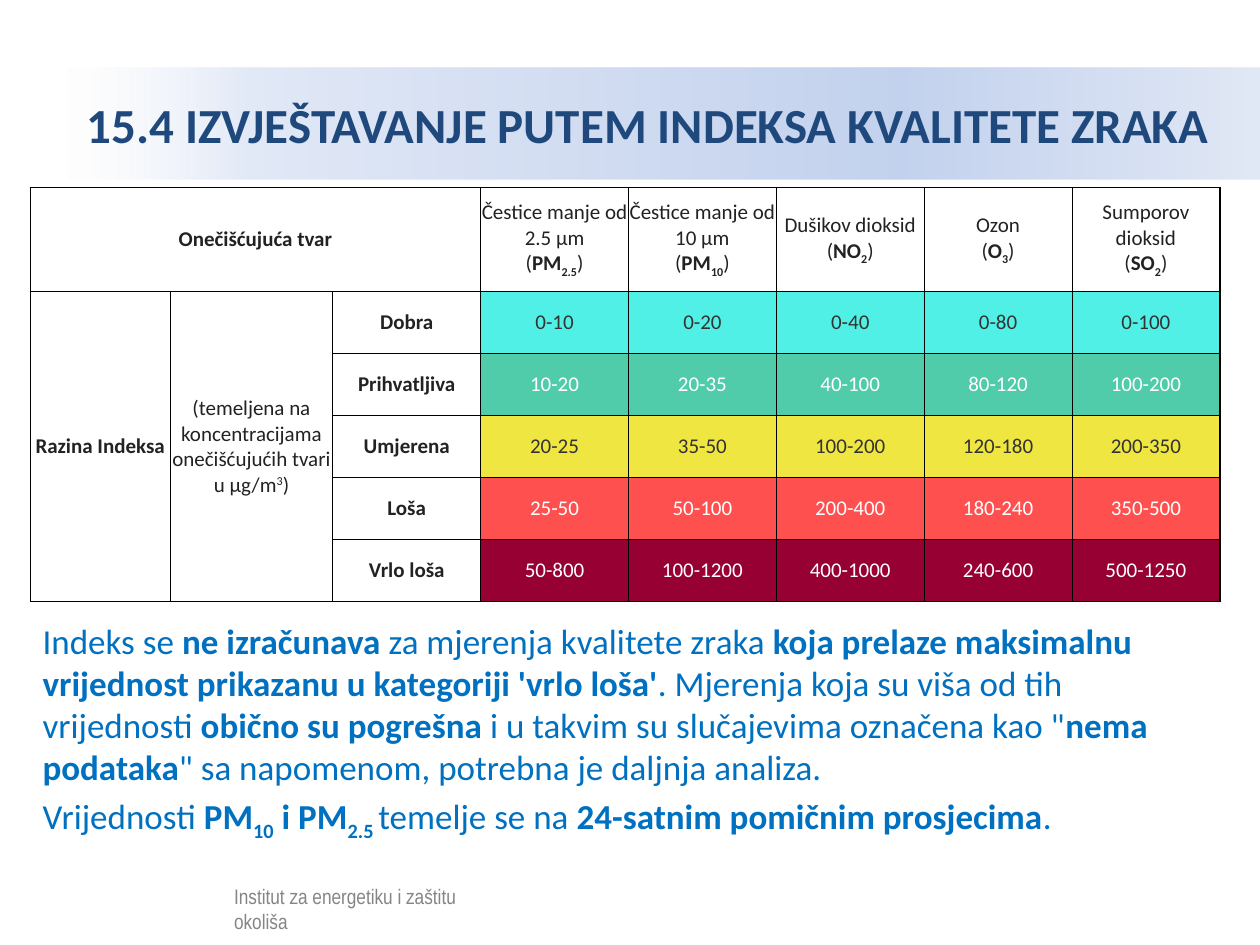
from dataclasses import dataclass

from lxml import etree
from pptx import Presentation
from pptx.dml.color import RGBColor
from pptx.enum.shapes import MSO_SHAPE
from pptx.enum.text import MSO_ANCHOR, MSO_AUTO_SIZE, PP_ALIGN
from pptx.oxml.ns import qn
from pptx.util import Cm, Pt

RECTANGLE = MSO_SHAPE.RECTANGLE
MIDDLE, TOP = MSO_ANCHOR.MIDDLE, MSO_ANCHOR.TOP
LEFT, CENTER = PP_ALIGN.LEFT, PP_ALIGN.CENTER
NO_AUTOFIT = MSO_AUTO_SIZE.NONE
SUB, SUPER = -25000, 30000


@dataclass(frozen=True)
class Theme:
    font: str = "Calibri"
    footer_font: str = "Arial Narrow"
    title_size: int = 28
    body_size: int = 20
    small_size: int = 12
    title: str = "1F497D"
    body: str = "0070C0"
    cell: str = "222222"
    dark: str = "333333"
    black: str = "000000"
    white: str = "FFFFFF"
    band: tuple = ((0, "FFFFFF", 52), (16, "E1E8F6", 100),
                   (70, "C2D1ED", 100), (100, "E1E8F5", 100))
    thick: float = 1
    thin: float = 0.5


def add_color(parent, color, opacity=100):
    clr = etree.SubElement(parent, qn("a:srgbClr"), val=color)
    if opacity < 100:
        etree.SubElement(clr, qn("a:alpha"), val=str(opacity * 1000))


class SlideBuilder:
    def __init__(self, prs, theme):
        self.theme = theme
        self.s = prs.slides.add_slide(prs.slide_layouts[5])

    def add_runs(self, tf, paragraphs, size, color, font=None, align=LEFT, space=0):
        for i, runs in enumerate(paragraphs):
            p = tf.add_paragraph() if i else tf.paragraphs[0]
            p.alignment = align
            p.space_before = Pt(space if i else 0)
            for text, bold, *baseline in runs:
                r = p.add_run()
                r.text = text
                r.font.name = font or self.theme.font
                r.font.size = Pt(size)
                r.font.bold = bold
                r.font.color.rgb = RGBColor.from_string(color)
                if baseline:
                    r._r.get_or_add_rPr().set("baseline", str(baseline[0]))

    def title(self, text, box):
        sp = self.s.shapes.title
        sp.left, sp.top, sp.width, sp.height = map(Cm, box)
        grad = etree.SubElement(sp._element.spPr, qn("a:gradFill"), rotWithShape="1")
        stops = etree.SubElement(grad, qn("a:gsLst"))
        for pos, color, opacity in self.theme.band:
            add_color(etree.SubElement(stops, qn("a:gs"), pos=str(pos * 1000)),
                      color, opacity)
        etree.SubElement(grad, qn("a:lin"), ang="0", scaled="0")
        tf = sp.text_frame
        tf.auto_size = NO_AUTOFIT
        tf.word_wrap = True
        tf.vertical_anchor = MIDDLE
        tf.margin_left, tf.margin_right = Cm(0.48), Cm(0.25)
        self.add_runs(tf, [[(text, True)]], self.theme.title_size, self.theme.title)

    def text(self, paragraphs, box, size, color, font=None, space=0):
        sp = self.s.shapes.add_textbox(*map(Cm, box))
        tf = sp.text_frame
        tf.word_wrap = True
        tf.vertical_anchor = TOP
        self.add_runs(tf, paragraphs, size, color, font, space=space)

    def veil(self, box, opacity):
        sp = self.s.shapes.add_shape(RECTANGLE, *map(Cm, box))
        sp.shadow.inherit = False
        sp.line.fill.background()
        sp.fill.solid()
        sp.fill.fore_color.rgb = RGBColor.from_string(self.theme.white)
        clr = sp._element.spPr.find(qn("a:solidFill"))[0]
        etree.SubElement(clr, qn("a:alpha"), val=str(opacity * 1000))

    def table(self, left, top, widths, heights):
        frame = self.s.shapes.add_table(len(heights), len(widths), Cm(left), Cm(top),
                                        Cm(sum(widths)), Cm(sum(heights)))
        table = frame.table
        table.first_row = table.horz_banding = False
        for col, width in zip(table.columns, widths):
            col.width = Cm(width)
        for row, height in zip(table.rows, heights):
            row.height = Cm(height)
        return table

    def borders(self, table, thick_cols, thick_rows):
        for i, row in enumerate(table.rows):
            for j, cell in enumerate(row.cells):
                right = j + (cell.span_width if cell.is_merge_origin else 1)
                bottom = i + (cell.span_height if cell.is_merge_origin else 1)
                edges = {"L": j in thick_cols, "R": right in thick_cols,
                         "T": i in thick_rows, "B": bottom in thick_rows}
                tcPr = cell._tc.get_or_add_tcPr()
                for n, (side, heavy) in enumerate(edges.items()):
                    width = Pt(self.theme.thick if heavy else self.theme.thin)
                    ln = etree.Element(qn(f"a:ln{side}"), w=str(width))
                    add_color(etree.SubElement(ln, qn("a:solidFill")), self.theme.black)
                    tcPr.insert(n, ln)

    def cell(self, cell, paragraphs, fill=None, color=None, pad=0.02):
        cell.fill.solid()
        cell.fill.fore_color.rgb = RGBColor.from_string(fill or self.theme.white)
        cell.vertical_anchor = MIDDLE
        cell.margin_left = cell.margin_right = Cm(0.02)
        cell.margin_top = cell.margin_bottom = Cm(pad)
        self.add_runs(cell.text_frame, paragraphs, self.theme.small_size,
                      color or self.theme.cell, align=CENTER)


def formula(symbol, index):
    return [("(", False), (symbol, True), (index, True, SUB), (")", False)]


def main():
    prs = Presentation()
    prs.slide_width, prs.slide_height = Cm(25.4), Cm(19.05)
    theme = Theme()
    b = SlideBuilder(prs, theme)

    b.title("15.4 IZVJEŠTAVANJE PUTEM INDEKSA KVALITETE ZRAKA", (1.27, 1.37, 24.13, 2.24))

    b.text([[("Institut za energetiku i zaštitu okoliša", False)]],
           (4.47, 17.68, 5.31, 0.64), theme.small_size, theme.black, theme.footer_font)
    b.veil((1.04, 17.6, 9.7, 1.22), 52)

    pollutants = [
        ("Čestice manje od 2.5 µm", "PM", "2.5"),
        ("Čestice manje od 10 µm", "PM", "10"),
        ("Dušikov dioksid", "NO", "2"),
        ("Ozon", "O", "3"),
        ("Sumporov dioksid", "SO", "2"),
    ]
    levels = [
        ("Dobra", "50F0E6", theme.dark, ("0-10", "0-20", "0-40", "0-80", "0-100")),
        ("Prihvatljiva", "50CCAA", theme.white,
         ("10-20", "20-35", "40-100", "80-120", "100-200")),
        ("Umjerena", "F0E641", theme.dark,
         ("20-25", "35-50", "100-200", "120-180", "200-350")),
        ("Loša", "FF5050", theme.white,
         ("25-50", "50-100", "200-400", "180-240", "350-500")),
        ("Vrlo loša", "960032", theme.white,
         ("50-800", "100-1200", "400-1000", "240-600", "500-1250")),
    ]
    table = b.table(0.61, 3.78, [2.82, 3.28] + [2.98] * 6, [2.1] + [1.25] * 5)
    table.cell(0, 0).merge(table.cell(0, 2))
    for col in (0, 1):
        table.cell(1, col).merge(table.cell(5, col))
    b.borders(table, (0, 3, 8), (0, 6))
    b.cell(table.cell(0, 0), [[("Onečišćujuća tvar", True)]])
    b.cell(table.cell(1, 0), [[("Razina Indeksa", True)]])
    b.cell(table.cell(1, 1), [[
        ("(temeljena na koncentracijama onečišćujućih tvari u µg/m", False),
        ("3", False, SUPER), (")", False)]])
    for col, (name, symbol, index) in enumerate(pollutants, 3):
        b.cell(table.cell(0, col), [[(name, False)], formula(symbol, index)], pad=0.08)
    for row, (label, fill, color, ranges) in enumerate(levels, 1):
        b.cell(table.cell(row, 2), [[(label, True)]])
        for col, value in enumerate(ranges, 3):
            b.cell(table.cell(row, col), [[(value, False)]], fill, color, 0.08)

    b.text([
        [("Indeks se ", False), ("ne izračunava ", True),
         ("za mjerenja kvalitete zraka ", False),
         ("koja prelaze maksimalnu vrijednost prikazanu u kategoriji 'vrlo loša'", True),
         (". Mjerenja koja su viša od tih vrijednosti ", False),
         ("obično su pogrešna ", True),
         ("i u takvim su slučajevima označena kao \"", False), ("nema podataka", True),
         ("\" sa napomenom, potrebna je daljnja analiza.", False)],
        [("Vrijednosti ", False), ("PM", True), ("10", True, SUB), (" i PM", True),
         ("2.5 ", True, SUB), ("temelje se na ", False),
         ("24-satnim pomičnim prosjecima", True), (".", False)],
    ], (0.61, 12.37, 23.83, 4.7), theme.body_size, theme.body, space=4)

    prs.save("out.pptx")


if __name__ == "__main__":
    main()
